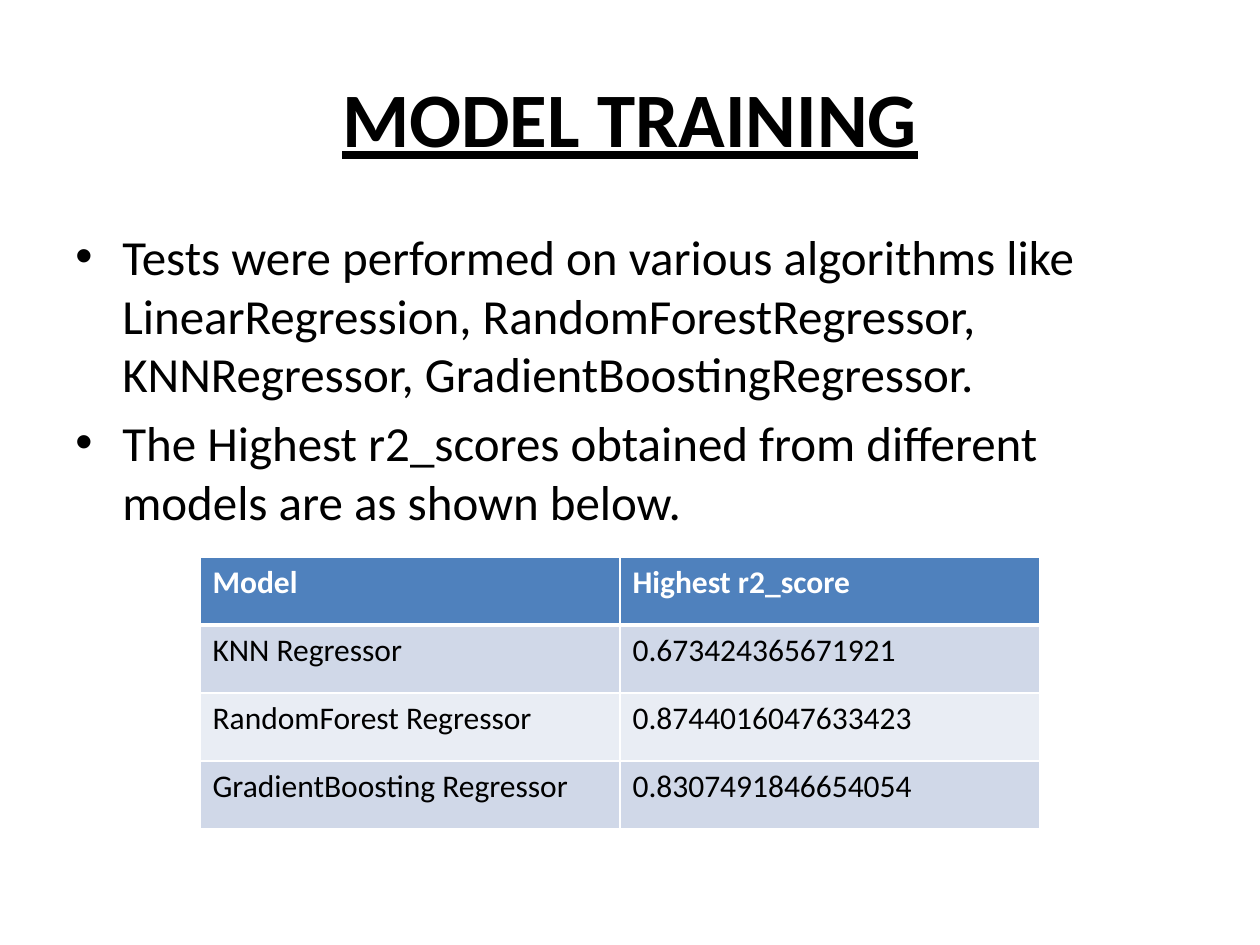
from lxml import etree
from pptx import Presentation, util as u
from pptx.dml.color import RGBColor
from pptx.enum import text
from pptx.oxml.ns import qn

TITLE = "MODEL TRAINING"
POINTS = [
    "Tests were performed on various algorithms like LinearRegression, "
    "RandomForestRegressor, KNNRegressor, GradientBoostingRegressor.",
    "The Highest r2_scores obtained from different models are as shown below.",
]
ROWS = [
    ("Model", "Highest r2_score"),
    ("KNN Regressor", "0.673424365671921"),
    ("RandomForest Regressor", "0.8744016047633423"),
    ("GradientBoosting Regressor", "0.8307491846654054"),
]

BLACK = RGBColor(0x00, 0x00, 0x00)
WHITE = RGBColor(0xFF, 0xFF, 0xFF)
BLUE = RGBColor(0x4F, 0x81, 0xBD)
BANDS = [RGBColor(0xE9, 0xED, 0xF4), RGBColor(0xD0, 0xD8, 0xE8)]
PX = 914400 // 126
COL, ROW = 420, 68


def px(*sizes):
    return [u.Emu(n * PX) for n in sizes]


def style(par, size, color, bold=False):
    font = par.font
    font.name, font.size, font.bold = "Calibri", u.Pt(size), bold
    font.color.rgb = color


def add_box(slide, *area):
    frame = slide.shapes.add_textbox(*px(*area)).text_frame
    frame.word_wrap = True
    return frame


def bullet(par):
    props = par._p.get_or_add_pPr()
    props.set("marL", str(47 * PX))
    props.set("indent", str(-47 * PX))
    etree.SubElement(props, qn("a:buFont"), typeface="Arial")
    etree.SubElement(props, qn("a:buChar"), char="•")


def border(cell, widths):
    props = cell._tc.get_or_add_tcPr()
    for side, width in zip("LRTB", widths):
        line = etree.SubElement(props, qn(f"a:ln{side}"), w=str(u.Pt(width)))
        fill = etree.SubElement(line, qn("a:solidFill"))
        etree.SubElement(fill, qn("a:srgbClr"), val=str(WHITE))


deck = Presentation()
deck.slide_width, deck.slide_height = px(1260, 945)
slide = deck.slides.add_slide(deck.slide_layouts[6])

# Title
frame = add_box(slide, 63, 38, 1134, 157)
frame.vertical_anchor = text.MSO_ANCHOR.MIDDLE
head = frame.paragraphs[0]
head.text = TITLE
head.alignment = text.PP_ALIGN.CENTER
style(head, 44, BLACK, True)
head.font.underline = True

# Bullet points
frame = add_box(slide, 63, 220, 1134, 624)
for i, point in enumerate(POINTS):
    par = frame.paragraphs[0] if i == 0 else frame.add_paragraph()
    par.text = point
    par.space_before = u.Pt(5.6)
    bullet(par)
    style(par, 28, BLACK)

# Score table
area = px(200, 557, 2 * COL, len(ROWS) * ROW)
table = slide.shapes.add_table(len(ROWS), 2, *area).table
for r, row in enumerate(ROWS):
    top = r == 0
    for c, value in enumerate(row):
        cell = table.cell(r, c)
        cell.text = value
        style(cell.text_frame.paragraphs[0], 18, WHITE if top else BLACK, top)
        border(cell, (1, 1, 3 if r == 1 else 1, 3 if top else 1))
        cell.fill.solid()
        cell.fill.fore_color.rgb = BLUE if top else BANDS[r % 2]

deck.save("out.pptx")
